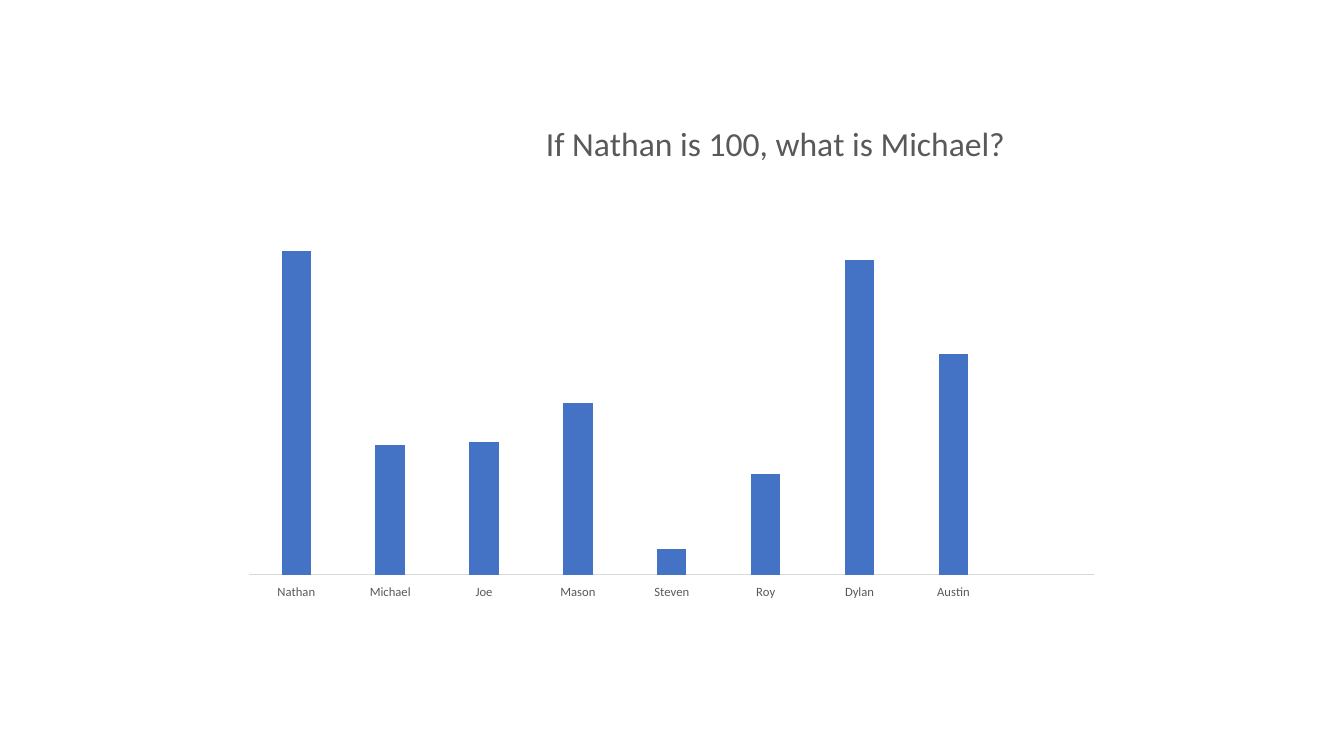
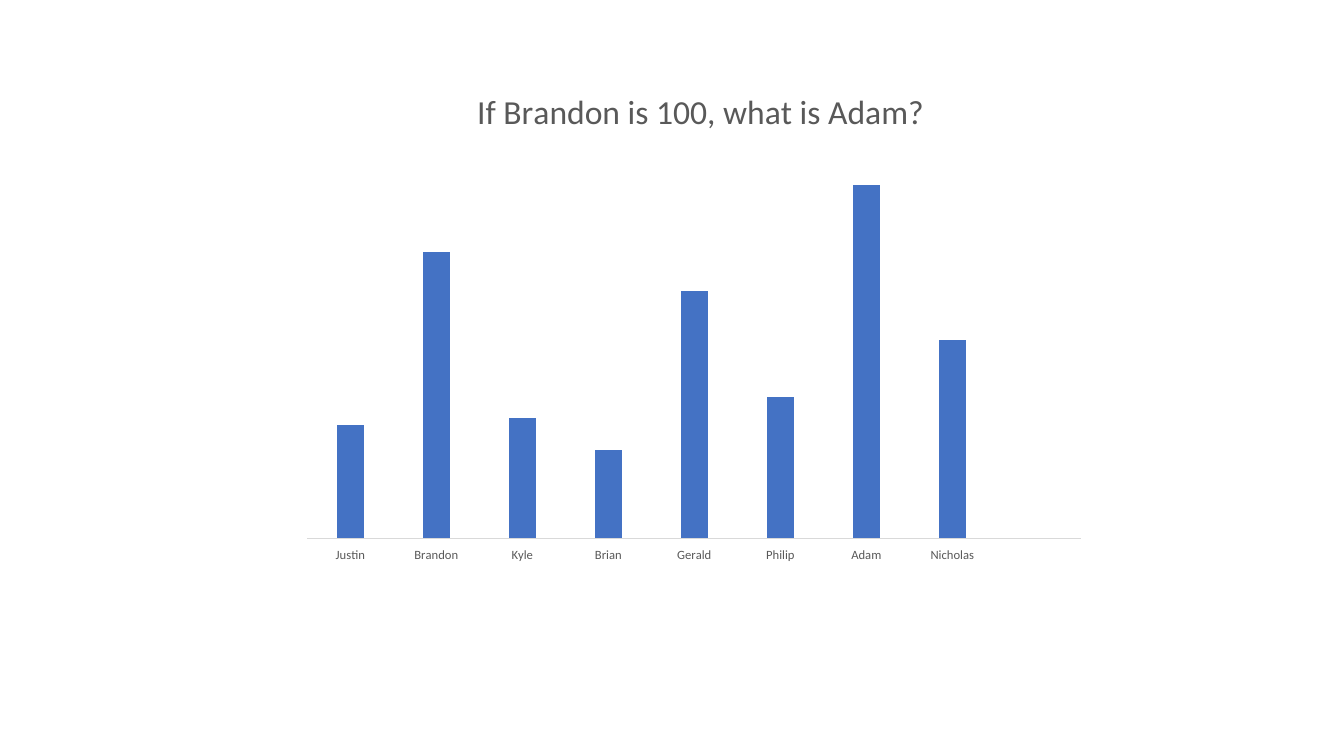
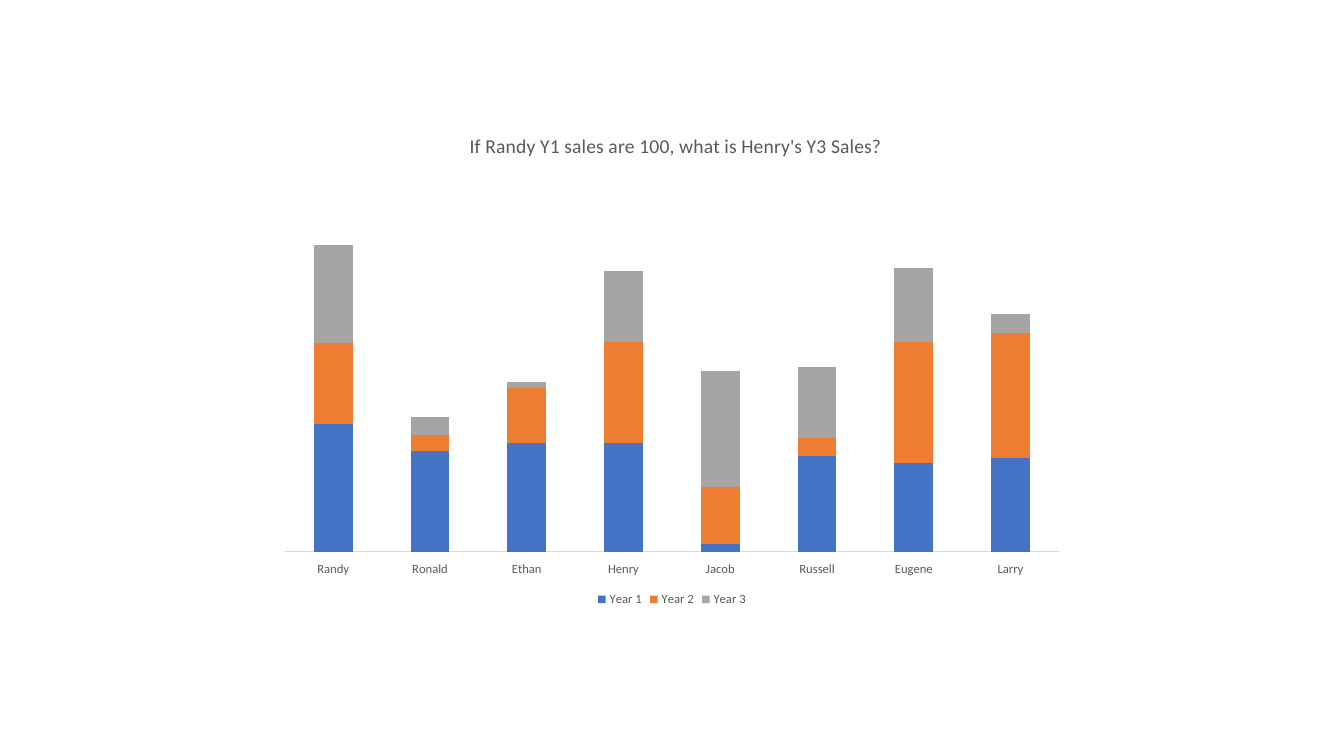
from pptx import Presentation
from pptx.chart.data import CategoryChartData
from pptx.dml.color import RGBColor
from pptx.enum.chart import XL_CHART_TYPE as ChartType
from pptx.enum.chart import XL_LEGEND_POSITION as LegendPosition
from pptx.enum.chart import XL_TICK_LABEL_POSITION as LabelPosition
from pptx.enum.chart import XL_TICK_MARK as TickMark
from pptx.oxml import parse_xml
from pptx.oxml.ns import nsdecls
from pptx.util import Pt

FONT = "Calibri"
TEXT = "595959"
AXIS = "D9D9D9"
SERIES_COLORS = ["4472C4", "ED7D31", "A5A5A5"]
CHART_HEIGHT = 360
PLOT_INSET = 0.02


def color(value):
    return RGBColor.from_string(value)


def style_font(font, size):
    font.name = FONT
    font.size = Pt(size)
    font.bold = False
    font.color.rgb = color(TEXT)


def set_layout(element, position, inner=False, **fractions):
    for old in element.xpath("./c:layout"):
        element.remove(old)
    target = '<c:layoutTarget val="inner"/>' if inner else ""
    modes = '<c:xMode val="edge"/><c:yMode val="edge"/>'
    values = "".join(f'<c:{key} val="{value:.4f}"/>' for key, value in fractions.items())
    element.insert(position, parse_xml(
        f'<c:layout {nsdecls("c")}><c:manualLayout>{target}{modes}{values}'
        "</c:manualLayout></c:layout>"))


def add_title(chart, question, size, left, top, width):
    chart.has_title = True
    title = chart.chart_title
    span = title.text_frame.paragraphs[0].add_run()
    span.text = question
    style_font(span.font, size)
    set_layout(title.element, 1, x=left / width, y=top / CHART_HEIGHT)


def style_axes(chart, maximum):
    names = chart.category_axis
    names.major_tick_mark = TickMark.NONE
    names.minor_tick_mark = TickMark.NONE
    names.tick_label_position = LabelPosition.LOW
    names.has_major_gridlines = False
    names.format.line.color.rgb = color(AXIS)
    names.format.line.width = Pt(0.75)
    style_font(names.tick_labels.font, 9)
    scale = chart.value_axis
    scale.minimum_scale = 0
    scale.maximum_scale = maximum
    scale.has_major_gridlines = False
    scale.visible = False


def add_chart_slide(deck, box, kind, question, title_size, title_at, plot_span,
                    maximum, people, series, gap, overlap):
    left, top, width = box
    data = CategoryChartData()
    data.categories = people
    for name, values in series.items():
        data.add_series(name, values)
    page = deck.slides.add_slide(deck.slide_layouts[6])
    chart = page.shapes.add_chart(
        kind, Pt(left), Pt(top), Pt(width), Pt(CHART_HEIGHT), data).chart
    style_font(chart.font, 10)
    add_title(chart, question, title_size, *title_at, width)
    style_axes(chart, maximum)

    plot = chart.plots[0]
    plot.vary_by_categories = False
    plot.gap_width = gap
    plot.overlap = overlap
    for bars, fill in zip(plot.series, SERIES_COLORS):
        bars.format.fill.solid()
        bars.format.fill.fore_color.rgb = color(fill)
        bars.invert_if_negative = False

    plot_top, plot_height = plot_span
    set_layout(chart.element.xpath(".//c:plotArea")[0], 0, inner=True,
               x=PLOT_INSET, y=plot_top / CHART_HEIGHT,
               w=1 - 2 * PLOT_INSET, h=plot_height / CHART_HEIGHT)

    chart.has_legend = len(series) > 1
    if chart.has_legend:
        chart.legend.position = LegendPosition.BOTTOM
        chart.legend.include_in_layout = False
        style_font(chart.legend.font, 9)


def main():
    deck = Presentation()
    deck.slide_width = Pt(960)
    deck.slide_height = Pt(540)
    add_chart_slide(
        deck, (165.6, 71.3, 628.6), ChartType.COLUMN_CLUSTERED,
        "If Nathan is 100, what is Michael?", 24, (220, 11), (61.5, 278), 120,
        ["Nathan", "Michael", "Joe", "Mason", "Steven", "Roy", "Dylan", "Austin", ""],
        {"Series 1": [100, 40, 41, 53, 8, 31, 97, 68, None]}, 219, -27)
    add_chart_slide(
        deck, (208, 45.4, 576), ChartType.COLUMN_CLUSTERED,
        "If Brandon is 100, what is Adam?", 24, (128.5, 14), (87, 252), 100,
        ["Justin", "Brandon", "Kyle", "Brian", "Gerald", "Philip", "Adam", "Nicholas", ""],
        {"Series 1": [32, 81, 34, 25, 70, 40, 100, 56, None]}, 219, -27)
    add_chart_slide(
        deck, (192, 76.3, 576), ChartType.COLUMN_STACKED,
        "If Randy Y1 sales are 100, what is Henry's Y3 Sales?", 14, (141, 15.5),
        (43.5, 274.5), 300,
        ["Randy", "Ronald", "Ethan", "Henry", "Jacob", "Russell", "Eugene", "Larry"],
        {"Year 1": [100, 79, 85, 85, 6, 75, 69, 73],
         "Year 2": [63, 12, 43, 79, 45, 14, 95, 98],
         "Year 3": [77, 14, 5, 55, 90, 55, 58, 15]}, 150, 100)
    deck.save("out.pptx")


if __name__ == "__main__":
    main()
